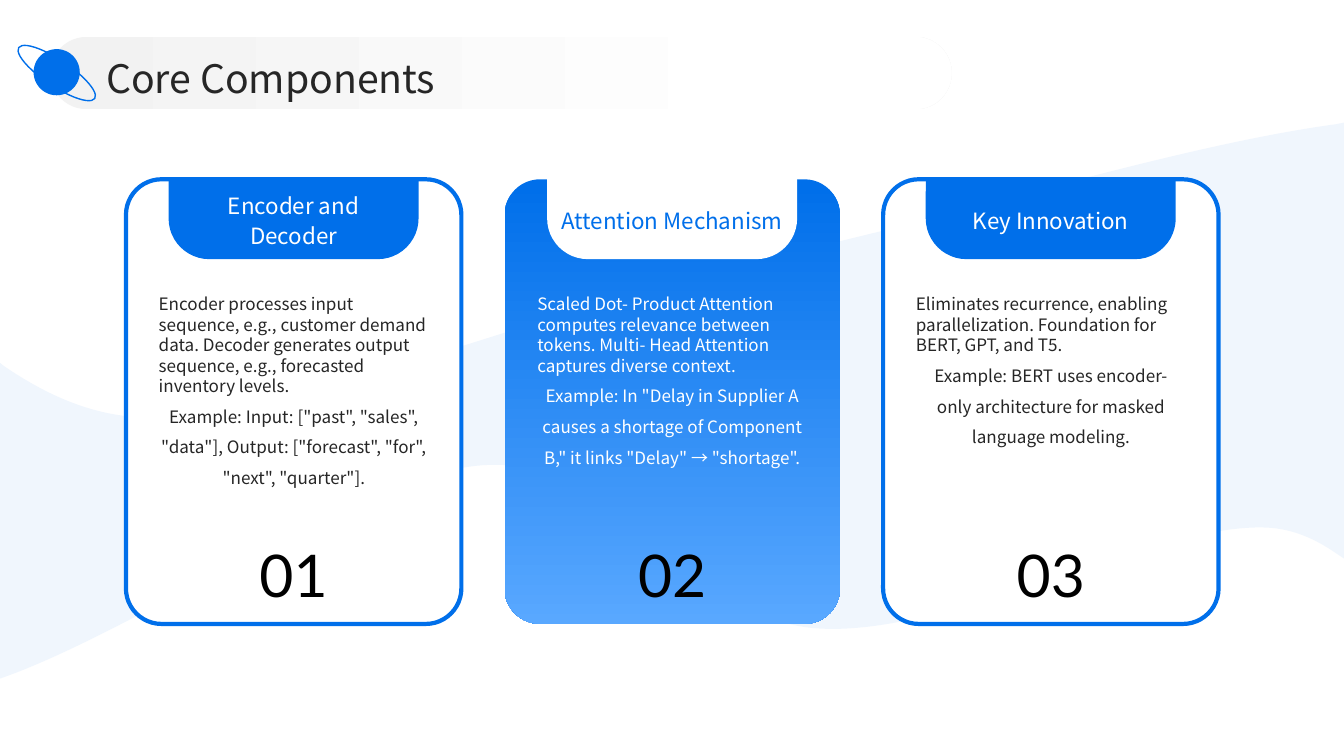
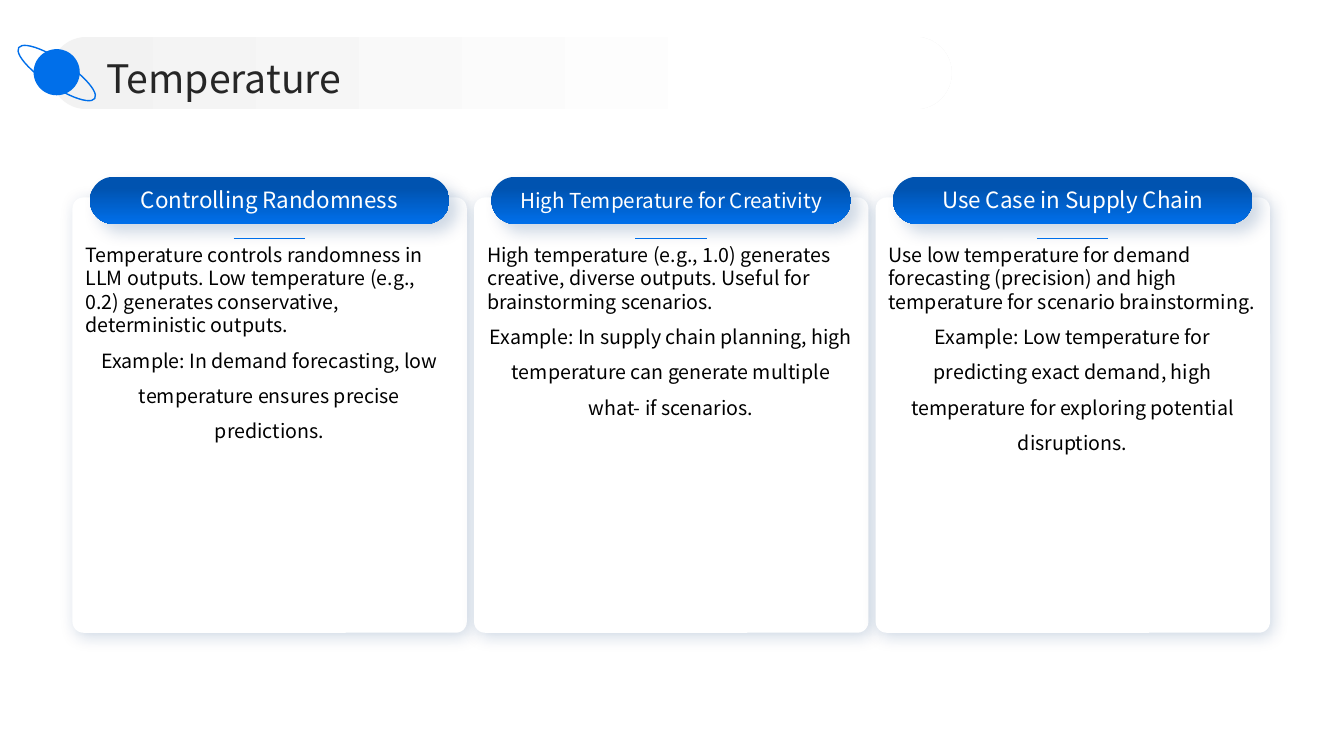
from lxml import etree
from pptx import Presentation
from pptx.dml.color import RGBColor
from pptx.enum.shapes import MSO_CONNECTOR as Connector, MSO_SHAPE as Shape
from pptx.enum.text import MSO_ANCHOR as Anchor, PP_ALIGN as Align
from pptx.oxml.ns import qn
from pptx.util import Inches, Pt

CELL = 1 / 12  # inches: the slide is a grid of 160 columns by 90 rows
COLUMNS, ROWS = 160, 90


def grid(*cells):
    return [Inches(cell * CELL) for cell in cells]


def color(value):
    return RGBColor.from_string(value)


def bend(shape, edges):
    """Turn each run of three line segments that stands for a curve into a cubic Bezier."""
    segments = iter(list(shape._element.spPr.iter(qn("a:lnTo"))))
    for edge in edges:
        lines = [next(segments) for _ in edge]
        if len(lines) == 3:
            curve = etree.Element(qn("a:cubicBezTo"))
            lines[0].addprevious(curve)
            for line in lines:
                curve.append(line[0])
                line.getparent().remove(line)


def set_effects(shape, shadow=None):
    """Replace inherited effects by none, or by (hex, alpha %, blur, distance, angle)."""
    properties = shape._element.spPr
    effects = etree.SubElement(properties, qn("a:effectLst"))
    if shadow:
        tint, alpha, blur, distance, angle = shadow
        outer = etree.SubElement(
            effects, qn("a:outerShdw"), blurRad=str(Pt(blur)), dist=str(Pt(distance)),
            dir=str(angle * 60000), algn="tl", rotWithShape="0")
        tone = etree.SubElement(outer, qn("a:srgbClr"), val=tint)
        etree.SubElement(tone, qn("a:alpha"), val=str(alpha * 1000))


def write(frame, text, *, size, tint, font="Noto Sans CJK SC", align=Align.CENTER,
          spacing=1.1, anchor=Anchor.MIDDLE):
    """Fill a frame; a list of (text, align, spacing) gives several paragraphs."""
    frame.word_wrap = True
    frame.vertical_anchor = anchor
    frame.margin_left = frame.margin_right = frame.margin_top = frame.margin_bottom = 0
    parts = [(text, align, spacing)] if isinstance(text, str) else text
    for index, (words, alignment, leading) in enumerate(parts):
        paragraph = frame.paragraphs[0] if index == 0 else frame.add_paragraph()
        paragraph.alignment = alignment
        paragraph.line_spacing = leading
        run = paragraph.add_run()
        run.text = words
        run.font.name = font
        run.font.size = Pt(size)
        run.font.color.rgb = color(tint)


class Deck:
    BLUE, DEEP, SKY = "006FEA", "0053B0", "59A8FF"
    WHITE, BLACK, INK, MIST = "FFFFFF", "000000", "262626", "F2F2F2"
    SHADE = "003775"

    def __init__(self):
        self.presentation = Presentation()
        self.presentation.slide_width, self.presentation.slide_height = grid(COLUMNS, ROWS)
        self.slide = None

    def new_slide(self):
        self.slide = self.presentation.slides.add_slide(self.presentation.slide_layouts[6])

    def paint(self, shape, fill=None, line=None, shadow=None):
        """Style a shape; fill is a hex or (first, last, angle) with (position, hex) stops."""
        if fill is None:
            shape.fill.background()
        elif isinstance(fill, str):
            shape.fill.solid()
            shape.fill.fore_color.rgb = color(fill)
        else:
            *stops, angle = fill
            shape.fill.gradient()
            shape.fill.gradient_angle = -angle % 360
            for stop, (position, tint) in zip(shape.fill.gradient_stops, stops):
                stop.position = position
                stop.color.rgb = color(tint)
        if line:
            shape.line.color.rgb = color(line[0])
            shape.line.width = Pt(line[1])
        else:
            shape.line.fill.background()
        set_effects(shape, shadow)

    def shape(self, kind, box, adjust=(), parent=None, **style):
        shape = (parent or self.slide).shapes.add_shape(kind, *grid(*box))
        for index, value in enumerate(adjust):
            shape.adjustments[index] = value
        self.paint(shape, **style)
        return shape

    def text(self, box, text, **style):
        write(self.slide.shapes.add_textbox(*grid(*box)).text_frame, text, **style)

    def body(self, box, statement, example, **style):
        parts = [(statement, Align.LEFT, 1.0), (example, Align.CENTER, 1.5)]
        self.text(box, parts, anchor=Anchor.TOP, **style)

    def rule(self, left, top, length):
        line = self.slide.shapes.add_connector(
            Connector.STRAIGHT, *grid(left, top, left + length, top))
        line.line.color.rgb = color(self.BLUE)
        line.line.width = Pt(0.5)
        set_effects(line)

    def wave(self):
        """Draw the pale band that flows behind the cards, in tenths of a cell."""
        edges = [
            [(1600, 665)], [(1591, 659)],
            [(1565, 641), (1536, 628), (1502, 628)],
            [(1370, 626), (1126, 760), (971, 748)],
            [(816, 736), (752, 542), (574, 554)],
            [(434, 564), (176, 743), (11, 804)],
            [(0, 808)], [(0, 432)], [(5, 436)],
            [(55, 470), (115, 499), (185, 497)],
            [(371, 491), (679, 355), (947, 299)],
            [(1132, 260), (1398, 174), (1590, 148)],
        ]
        builder = self.slide.shapes.build_freeform(1600, 146, scale=Inches(CELL) / 10)
        builder.add_line_segments([point for edge in edges for point in edge], close=True)
        wave = builder.convert_to_shape()
        bend(wave, edges)
        self.paint(wave, self.BLUE)
        tone = wave._element.spPr.find(qn("a:solidFill"))[0]
        etree.SubElement(tone, qn("a:alpha"), val="6000")

    def title(self, text):
        """Add the title band, its text and the planet."""
        self.shape(Shape.ROUNDED_RECTANGLE, (6, 4.4, 107.3, 8.6), [0.5],
                   fill=((0, self.MIST), (0.8, self.WHITE), 0))
        self.text((12.65, 5.9, 140, 6.1), text, size=28, tint=self.INK, align=Align.LEFT)
        planet = self.slide.shapes.add_group_shape()
        self.shape(Shape.OVAL, (4, 5.85, 5.5, 5.5), parent=planet, fill=self.BLUE)
        ring = self.shape(Shape.OVAL, (1.3, 7.15, 10.9, 3.1), parent=planet,
                          line=(self.BLUE, 1))
        ring.rotation = 33.8

    def numbered_card(self, index, heading, statement, example, filled=False):
        left = 15 + 45.07 * index
        if filled:
            card = {"fill": ((0.01, self.BLUE), (1, self.SKY), 90)}
            tab, heading_tint, body_tint = self.WHITE, self.BLUE, self.WHITE
        else:
            card = {"fill": self.WHITE, "line": (self.BLUE, 3)}
            tab, heading_tint, body_tint = self.BLUE, self.WHITE, self.INK
        self.shape(Shape.ROUNDED_RECTANGLE, (left, 21.35, 39.93, 52.93), [0.106], **card)
        self.shape(Shape.ROUND_2_SAME_RECTANGLE, (left + 5.07, 21.15, 29.76, 9.7), [0, 0.5],
                   fill=tab)
        self.text((left + 6.7, 21.8, 26.5, 8.6), heading, size=16, tint=heading_tint)
        self.body((left + 3.9, 34.95, 32.2, 25.8), statement, example, size=12.2,
                  tint=body_tint)
        self.text((left + 6.7, 63.65, 26.5, 8.6), f"{index + 1:02}", size=42,
                  tint=self.BLACK, font="Lato")

    def pill_card(self, index, heading, statement, example, heading_size=16):
        left = 8.63 + 47.81 * index
        self.shape(Shape.ROUNDED_RECTANGLE, (left, 23.5, 46.95, 51.83), [0.028],
                   fill=self.WHITE, shadow=(self.SHADE, 19, 12, 3, 45))
        self.shape(Shape.ROUNDED_RECTANGLE, (left + 2.07, 21.05, 42.8, 5.6), [0.5],
                   fill=((0.24, self.DEEP), (1, self.BLUE), 90),
                   shadow=(self.SHADE, 19, 11, 8, 45))
        self.text((left + 4, 21.45, 38.9, 4.7), heading, size=heading_size,
                  tint=self.WHITE, spacing=1.0)
        self.body((left + 1.55, 28.9, 43.8, 45.2), statement, example, size=14,
                  tint=self.BLACK)
        self.rule(left + 19.2, 28.4, 8.5)


def core_components(deck):
    deck.new_slide()
    deck.wave()
    deck.numbered_card(
        0, "Encoder and Decoder",
        "Encoder processes input sequence, e.g., customer demand data. "
        "Decoder generates output sequence, e.g., forecasted inventory levels.",
        'Example: Input: ["past", "sales", "data"], '
        'Output: ["forecast", "for", "next", "quarter"].')
    deck.numbered_card(
        1, "Attention Mechanism",
        "Scaled Dot- Product Attention computes relevance between tokens. "
        "Multi- Head Attention captures diverse context.",
        'Example: In "Delay in Supplier A causes a shortage of Component B," '
        'it links "Delay" → "shortage".', filled=True)
    deck.numbered_card(
        2, "Key Innovation",
        "Eliminates recurrence, enabling parallelization. Foundation for BERT, GPT, and T5.",
        "Example: BERT uses encoder- only architecture for masked language modeling.")
    deck.title("Core Components")


def temperature(deck):
    deck.new_slide()
    deck.pill_card(
        0, "Controlling Randomness",
        "Temperature controls randomness in LLM outputs. Low temperature (e.g., 0.2) "
        "generates conservative, deterministic outputs.",
        "Example: In demand forecasting, low temperature ensures precise predictions.")
    deck.pill_card(
        1, "High Temperature for Creativity",
        "High temperature (e.g., 1.0) generates creative, diverse outputs. "
        "Useful for brainstorming scenarios.",
        "Example: In supply chain planning, high temperature can generate multiple "
        "what- if scenarios.", heading_size=14.7)
    deck.pill_card(
        2, "Use Case in Supply Chain",
        "Use low temperature for demand forecasting (precision) and high temperature "
        "for scenario brainstorming.",
        "Example: Low temperature for predicting exact demand, high temperature for "
        "exploring potential disruptions.")
    deck.title("Temperature")


def main():
    deck = Deck()
    core_components(deck)
    temperature(deck)
    deck.presentation.save("out.pptx")


if __name__ == "__main__":
    main()
